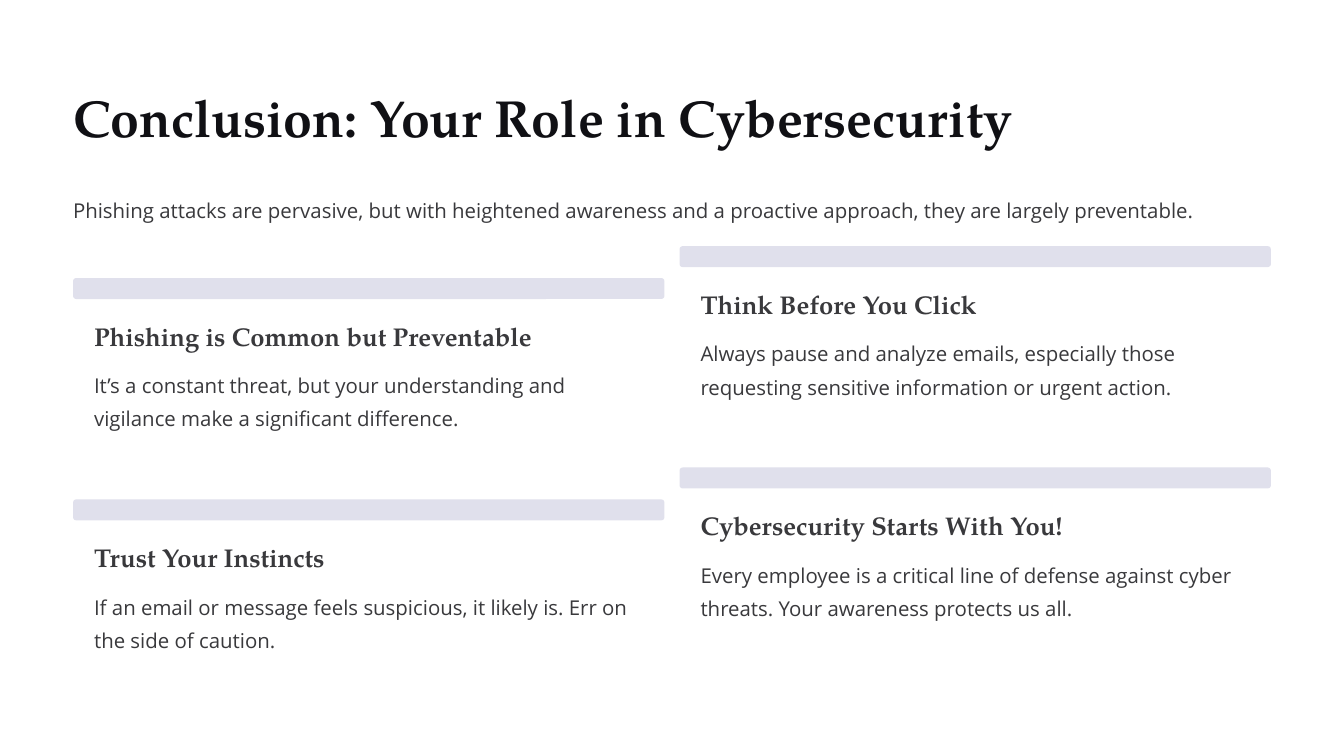
from pptx import Presentation
from pptx.dml.color import RGBColor
from pptx.enum import shapes, text
from pptx.util import Inches, Pt

TITLE = "Conclusion: Your Role in Cybersecurity"
INTRO = ("Phishing attacks are pervasive, but with heightened awareness and a "
         "proactive approach, they are largely preventable.")
# Each column: left, top of its first card, cards as (heading, advice)
COLUMNS = [
    (0.87, 3.31, [
        ("Phishing is Common but Preventable",
         "It’s a constant threat, but your understanding and vigilance make a "
         "significant difference."),
        ("Trust Your Instincts",
         "If an email or message feels suspicious, it likely is. Err on the side "
         "of caution."),
    ]),
    (8.09, 2.93, [
        ("Think Before You Click",
         "Always pause and analyze emails, especially those requesting sensitive "
         "information or urgent action."),
        ("Cybersecurity Starts With You!",
         "Every employee is a critical line of defense against cyber threats. "
         "Your awareness protects us all."),
    ]),
]

SERIF, SANS = "TeX Gyre Pagella", "Open Sans"
INK = RGBColor(0x10, 0x10, 0x14)
GREY = RGBColor(0x39, 0x39, 0x3C)
LAVENDER = RGBColor(0xE0, 0xE0, 0xEC)

MARGIN, CONTENT_WIDTH = 0.87, 14.26
BAR_WIDTH, BAR_HEIGHT = 7.04, 0.25
CARD_PITCH = 2.635
CARD_INSET, CARD_TEXT_WIDTH = 0.25, 6.54
HEADING_DROP, ADVICE_DROP = 0.49, 1.03


def write(shape, words, font_name, size, line_points, color, bold=False):
    frame = shape.text_frame
    frame.margin_left = frame.margin_right = frame.margin_top = frame.margin_bottom = 0
    frame.word_wrap = True
    frame.auto_size = text.MSO_AUTO_SIZE.NONE
    frame.vertical_anchor = text.MSO_ANCHOR.TOP
    frame.text = words
    paragraph = frame.paragraphs[0]
    paragraph.alignment = text.PP_ALIGN.LEFT
    paragraph.line_spacing = Pt(line_points)
    font = paragraph.font
    font.name, font.size, font.bold = font_name, Pt(size), bold
    font.color.rgb = color


def add_text(slide, left, top, width, height, *style):
    box = slide.shapes.add_textbox(*map(Inches, (left, top, width, height)))
    write(box, *style)


def add_card(slide, left, top, heading, advice):
    bar = slide.shapes.add_shape(
        shapes.MSO_SHAPE.ROUNDED_RECTANGLE,
        *map(Inches, (left, top, BAR_WIDTH, BAR_HEIGHT)))
    bar.adjustments[0] = 0.15
    bar.shadow.inherit = False
    bar.fill.solid()
    bar.fill.fore_color.rgb = LAVENDER
    bar.line.fill.background()
    text_left = left + CARD_INSET
    add_text(slide, text_left, top + HEADING_DROP, CARD_TEXT_WIDTH, 0.39,
             heading, SERIF, 22, 27.5, GREY, True)
    add_text(slide, text_left, top + ADVICE_DROP, CARD_TEXT_WIDTH, 0.79,
             advice, SANS, 17.5, 28.5, GREY)


def main():
    presentation = Presentation()
    presentation.slide_width, presentation.slide_height = Inches(16), Inches(9)
    slide = presentation.slides.add_slide(presentation.slide_layouts[5])

    title = slide.shapes.title
    title.left, title.top = Inches(MARGIN), Inches(0.99)
    title.width, title.height = Inches(CONTENT_WIDTH), Inches(0.78)
    write(title, TITLE, SERIF, 44.5, 55.5, INK, True)
    add_text(slide, MARGIN, 2.26, CONTENT_WIDTH, 0.4, INTRO, SANS, 17.5, 28.5, GREY)

    for left, first_top, cards in COLUMNS:
        for row, (heading, advice) in enumerate(cards):
            add_card(slide, left, first_top + row * CARD_PITCH, heading, advice)

    presentation.save("out.pptx")


if __name__ == "__main__":
    main()
